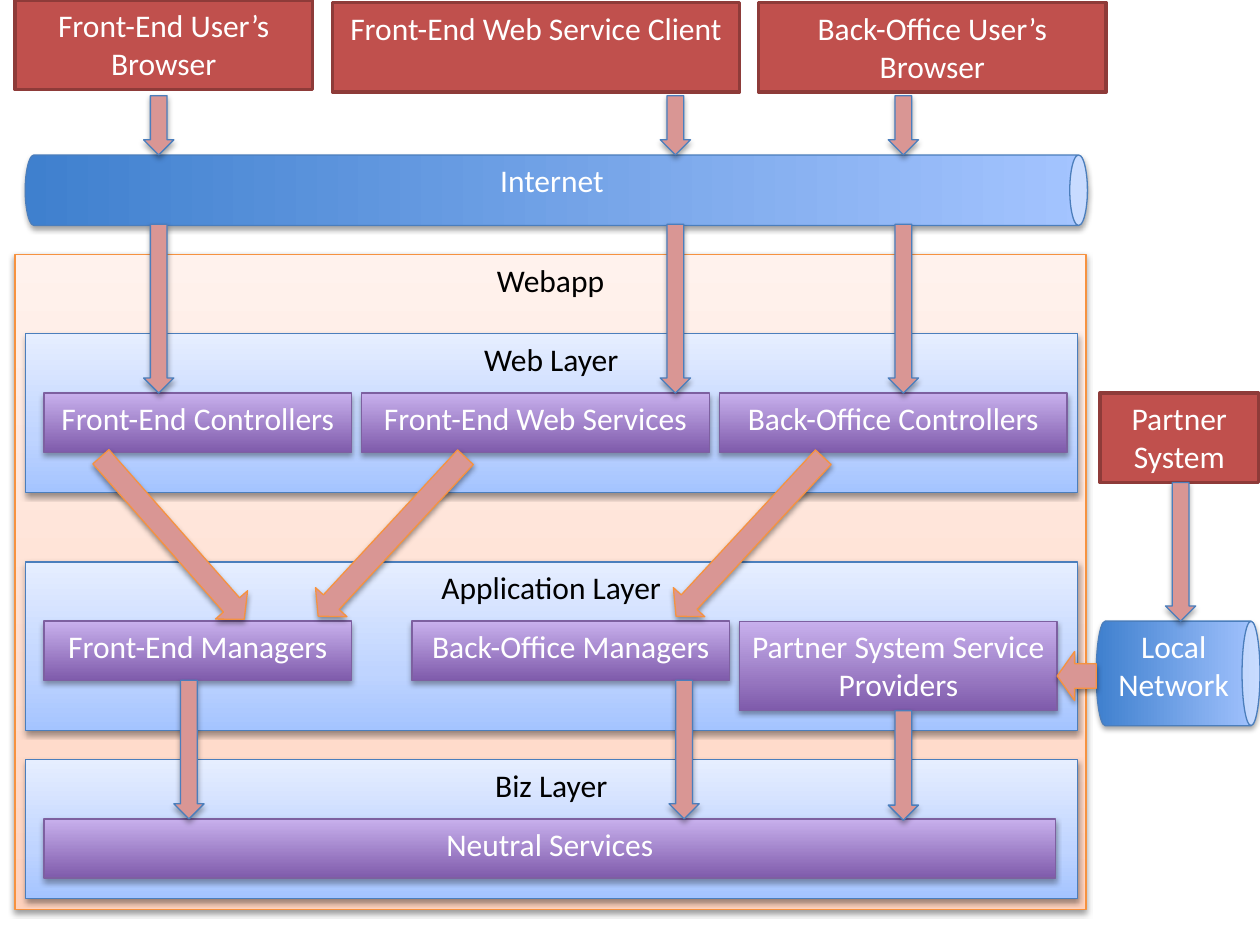
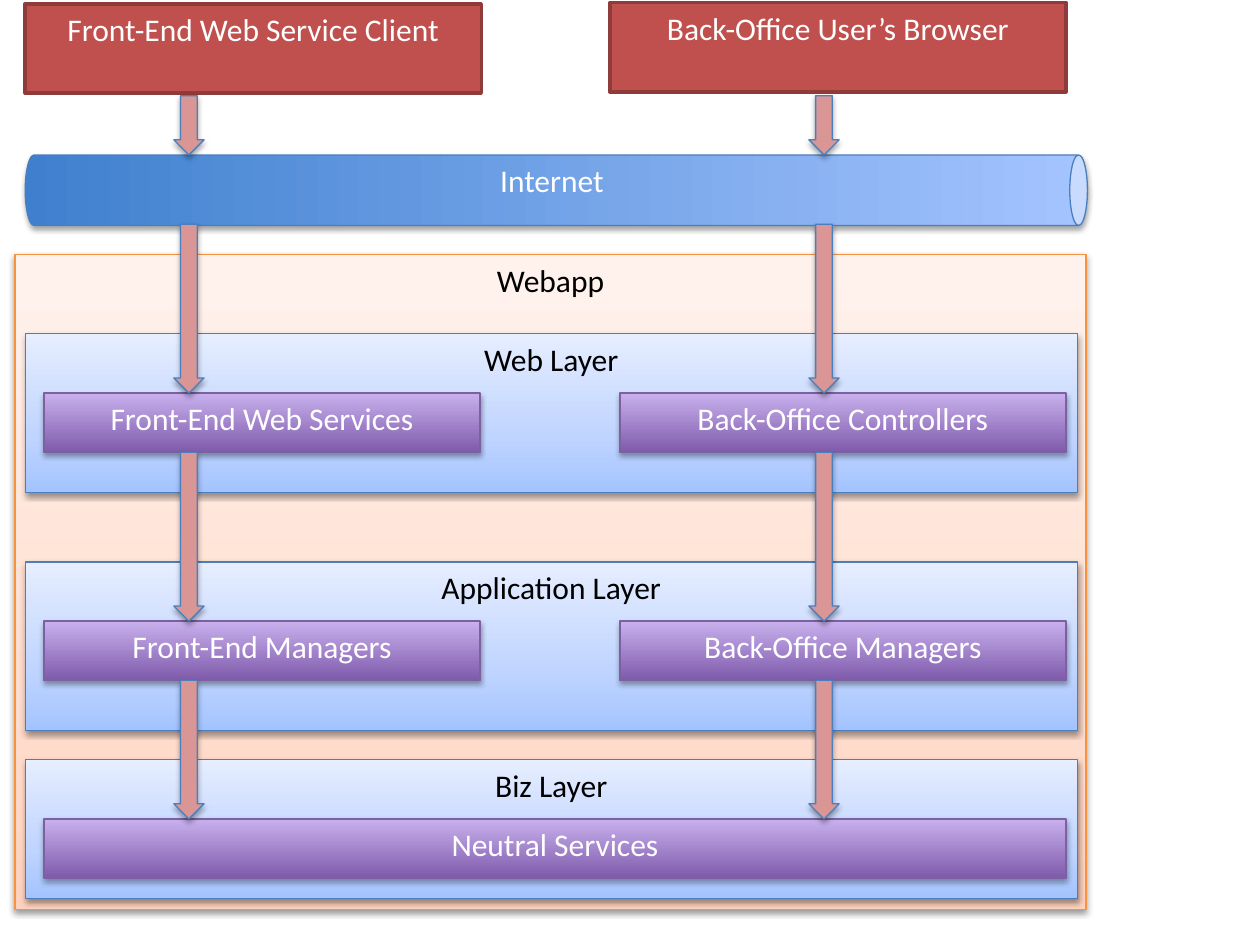
"""Two layered architecture diagrams of a web application."""
from lxml import etree
from pptx import Presentation
from pptx import util as u
from pptx.dml import color
from pptx.enum import shapes as sh, text as tx
from pptx.oxml import ns

HEX = {
    "white": "FFFFFF", "black": "000000", "red": "C0504D", "rim": "8E3B39",
    "pink": "D99694", "blue": "4B7EBC", "orange": "F69240", "plum": "7D60A0",
    "peach": "FFD2BD", "peach2": "FFDED0", "peach3": "FFF2ED",
    "sky": "A4C4FF", "sky2": "BFD4FF", "sky3": "E6EEFF",
    "violet": "7F5BAB", "lilac": "C8B0ED", "deep": "3F80CE",
}
SOFT, FIRM = (38, 20000), (35, 23000)  # shadow opacity and distance
# Fill: one colour name, or gradient stops from bottom to top
LOOKS = {
    "app": dict(fill=[(0, "peach"), (35, "peach2"), (100, "peach3")],
                line="orange", shade=SOFT, font="black"),
    "layer": dict(fill=[(0, "sky"), (35, "sky2"), (100, "sky3")],
                  line="blue", shade=SOFT, font="black"),
    "part": dict(fill=[(0, "violet"), (100, "lilac")], line="plum", shade=FIRM),
    "net": dict(fill=[(0, "deep"), (100, "sky")], line="blue", shade=FIRM),
    "client": dict(fill="red", line="rim", width=2),
    "flow": dict(fill="pink", line="blue", shade=FIRM),
    "call": dict(fill="pink", line="orange", shade=SOFT),
}
FONT = {"name": "Calibri", "size": u.Pt(18)}
KIND = sh.MSO_SHAPE
ROW, INSET, DROP = 0.47, 0.15, 0.47  # part height and its place in a layer
APP = (0.12, 2.02, 8.5, 5.2)
NET = (0.2, 1.23, 8.43, 0.56)


def rgb(name):
    """Turn a colour name into an RGB colour."""
    return color.RGBColor.from_string(HEX[name])


def node(base, tag, **attrs):
    """Add a drawing element below base."""
    return etree.SubElement(base, ns.qn("a:" + tag),
                            {key: str(val) for key, val in attrs.items()})


def paint(shape, look):
    """Apply fill, line and shadow of a look."""
    fill = look["fill"]
    if isinstance(fill, str):
        shape.fill.solid()
        shape.fill.fore_color.rgb = rgb(fill)
    else:
        shape.fill.gradient()
        shape.fill.gradient_angle = 90
        stops = shape._element.spPr.find(".//" + ns.qn("a:gsLst"))
        for old in list(stops):
            stops.remove(old)
        for pos, name in fill:
            stop = node(stops, "gs", pos=pos * 1000)
            node(stop, "srgbClr", val=HEX[name])
    shape.line.color.rgb = rgb(look["line"])
    shape.line.width = u.Pt(look.get("width", 0.75))
    shape.shadow.inherit = False
    if "shade" in look:
        alpha, dist = look["shade"]
        fx = shape._element.spPr.find(ns.qn("a:effectLst"))
        cast = node(fx, "outerShdw", blurRad=40000, dist=dist,
                    dir=5400000, rotWithShape=0)
        tint = node(cast, "srgbClr", val=HEX["black"])
        node(tint, "alpha", val=alpha * 1000)


def put(area, kind, style, box, words="", turn=0, adj=()):
    """Place one styled shape, with centred text at its top."""
    shape = area.add_shape(kind, *map(u.Inches, box))
    look = LOOKS[style]
    paint(shape, look)
    shape.rotation = turn
    for i, val in enumerate(adj):
        shape.adjustments[i] = val
    if words:
        frame = shape.text_frame
        frame.word_wrap = True
        frame.vertical_anchor = tx.MSO_ANCHOR.TOP
        para = frame.paragraphs[0]
        para.alignment = tx.PP_ALIGN.CENTER
        run = para.add_run()
        run.text = words
        for key, val in FONT.items():
            setattr(run.font, key, val)
        run.font.color.rgb = rgb(look.get("font", "white"))
    return shape


def pipe(slide, box, words, adj=()):
    """Draw a lying can that fills the box, with level text."""
    x, y, w, h = box
    spot = (x + (w - h) / 2, y + (h - w) / 2, h, w)
    can = put(slide.shapes, KIND.CAN, "net", spot, words, 90, adj)
    can.text_frame._txBody.bodyPr.set("vert", "vert270")


def clients(slide, box, items):
    """Draw the red client boxes; items are (dx, dy, width, words)."""
    x, y, _, h = box
    for dx, dy, w, words in items:
        put(slide.shapes, KIND.RECTANGLE, "client", (x + dx, y + dy, w, h), words)


def layer(slide, box, title, parts):
    """Draw a layer as a group; parts are (dx, width, height, words)."""
    x, y, _, _ = box
    area = slide.shapes.add_group_shape().shapes
    put(area, KIND.RECTANGLE, "layer", box, title)
    for dx, w, h, words in parts:
        put(area, KIND.RECTANGLE, "part",
            (x + INSET + dx, y + DROP, w, h), words)


def webapp(slide, box, web, app, biz):
    """Draw the application frame with its three layers."""
    x, y, w, _ = box
    put(slide.shapes, KIND.RECTANGLE, "app", box, "Webapp")
    rows = [(0.63, 1.26, "Web Layer", web), (4.01, 1.1, "Biz Layer", biz),
            (2.44, 1.34, "Application Layer", app)]
    for dy, h, title, parts in rows:
        layer(slide, (x + 0.08, y + dy, w - 0.15, h), title, parts)


def flow(slide, box):
    """Draw a downward arrow that fills the box."""
    put(slide.shapes, KIND.DOWN_ARROW, "flow", box, adj=(0.554, 0.5))


def call(slide, box, turn=0):
    """Draw an orange-rimmed arrow, turned about its middle."""
    put(slide.shapes, KIND.LEFT_ARROW, "call", box, turn=turn, adj=(0.5, 0.448))


def columns(slide, box, lefts, spans):
    """Draw one arrow per span (dy, height) in each column."""
    x, y, w, _ = box
    for dx in lefts:
        for dy, h in spans:
            flow(slide, (x + dx, y + dy, w, h))


def partner(slide, box):
    """Draw the partner system with its network and arrows."""
    x, y, w, _ = box
    clients(slide, (x + 0.03, y, w, 0.71), [(0, 0, 1.26, "Partner System")])
    pipe(slide, (x, y + 1.81, 1.3, 0.83), "Local Network", (0.172,))
    flow(slide, (x + 0.55, y + 0.71, 0.24, 1.1))
    call(slide, (x - 0.31, y + 2.05, 0.31, 0.39))


def full(slide):
    """Build the diagram with browsers, services and a partner."""
    webapp(slide, APP,
           [(0, 2.44, ROW, "Front-End Controllers"),
            (2.52, 2.76, ROW, "Front-End Web Services"),
            (5.36, 2.76, ROW, "Back-Office Controllers")],
           [(0, 2.44, ROW, "Front-End Managers"),
            (2.92, 2.52, ROW, "Back-Office Managers"),
            (5.52, 2.52, 0.71, "Partner System Service Providers")],
           [(0, 8.03, ROW, "Neutral Services")])
    clients(slide, (0.12, 0, 8.66, 0.71),
            [(0, 0, 2.36, "Front-End User’s Browser"),
             (2.52, 0.02, 3.23, "Front-End Web Service Client"),
             (5.9, 0.02, 2.76, "Back-Office User’s Browser")])
    pipe(slide, NET, "Internet")
    partner(slide, (8.7, 3.12, 1.3, 2.64))
    columns(slide, (1.14, 0.76, 0.24, 2.36), [0, 4.1, 5.91],
            [(0, 0.47), (1.02, 1.34)])
    for x, y, turn in [(2.25, 4.09, 312.8), (5.09, 4.09, 312.8),
                       (0.51, 4.1, 228.6)]:
        call(slide, (x, y, 1.72, 0.34), turn)
    columns(slide, (1.38, 5.4, 0.24, 1.1), [0, 3.93], [(0, 1.1)])
    flow(slide, (7.05, 5.64, 0.24, 0.87))


def short(slide):
    """Build the diagram with two straight paths."""
    def pair(front, back):
        """Return the two parts of one layer."""
        return [(0, 3.46, ROW, front), (4.57, 3.54, ROW, back)]

    webapp(slide, APP,
           pair("Front-End Web Services", "Back-Office Controllers"),
           pair("Front-End Managers", "Back-Office Managers"),
           [(0, 8.11, ROW, "Neutral Services")])
    clients(slide, (0.2, 0.02, 8.26, 0.71),
            [(0, 0.01, 3.62, "Front-End Web Service Client"),
             (4.64, 0, 3.62, "Back-Office User’s Browser")])
    pipe(slide, NET, "Internet")
    columns(slide, (1.38, 0.76, 0.24, 5.74), [0, 5.04],
            [(0, 0.47), (1.02, 1.34), (2.83, 1.34), (4.64, 1.1)])


def main():
    """Build and save the deck."""
    deck = Presentation()
    deck.slide_width, deck.slide_height = u.Inches(10), u.Inches(7.5)
    for build in (full, short):
        build(deck.slides.add_slide(deck.slide_layouts[6]))
    deck.save("out.pptx")


main()
